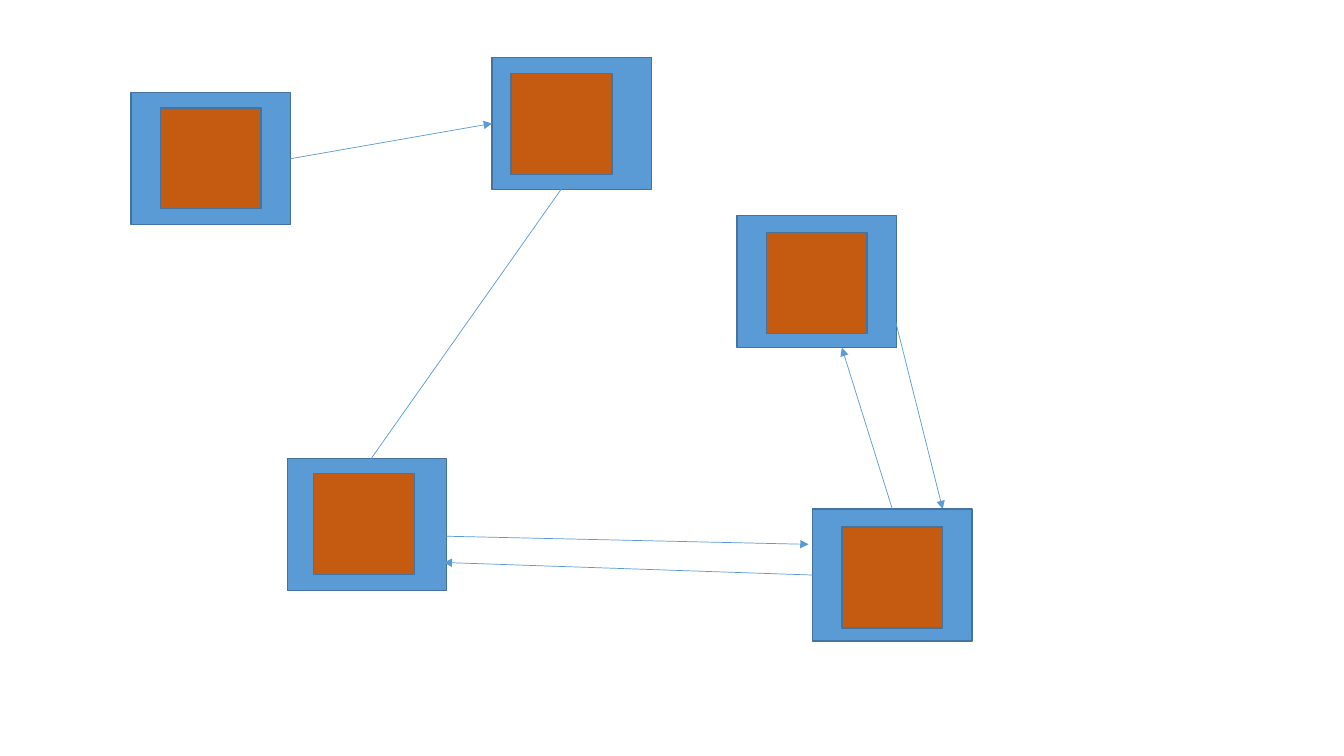
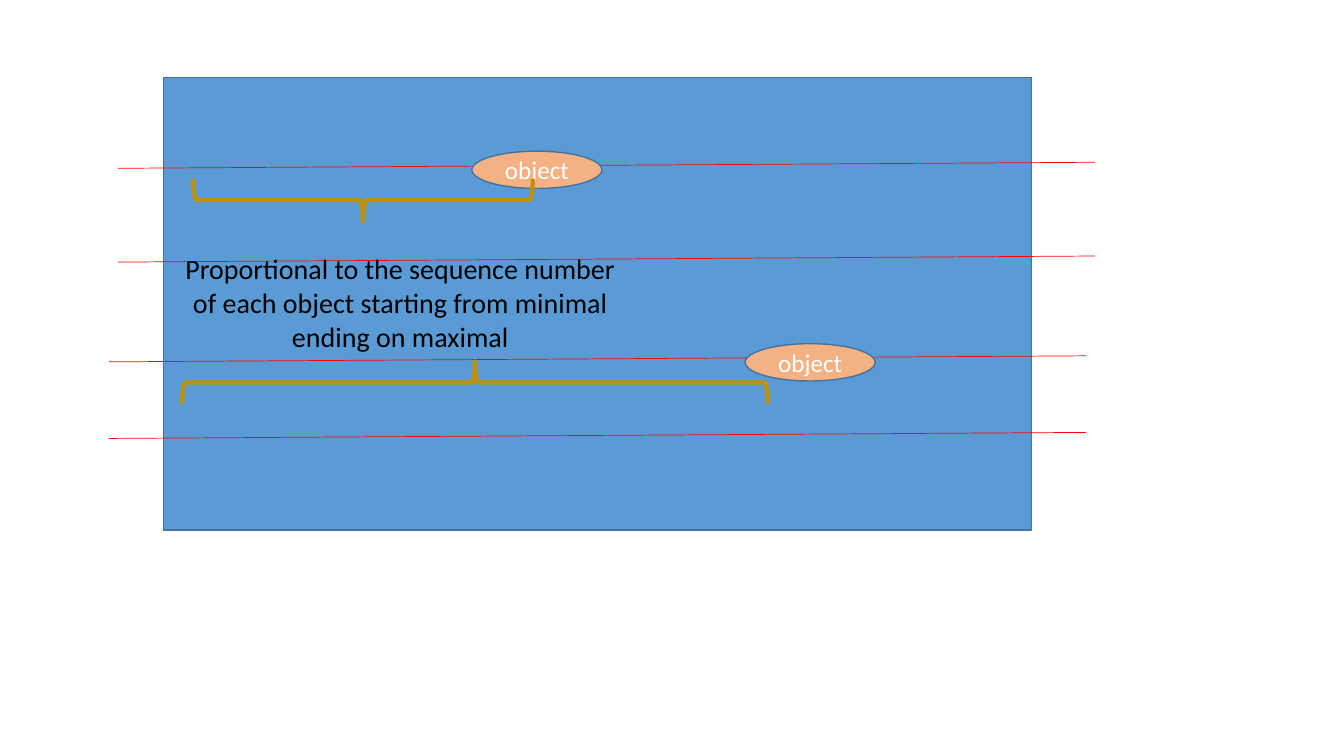
"""Build two diagram slides: linked nodes, and objects placed along scan lines."""
from dataclasses import dataclass
from typing import Optional

from lxml import etree
from pptx import Presentation
from pptx import util as u
from pptx.dml.color import RGBColor
from pptx.enum import shapes, text
from pptx.oxml.ns import qn

COLORS = {
    "panel": "5B9BD5", "edge": "43739E", "core": "C55A11", "scan": "FF0000",
    "object": "F4B183", "brace": "BF9000", "light": "FFFFFF", "dark": "000000",
}
FRAME_SIZE = (1.58, 1.31)
CORE_SIZE = (1, 1)
OBJECT_SIZE = (1.29, 0.37)
SCAN_RUN, SCAN_RISE = 9.69, 0.06
TOP, LEFT, RIGHT = 0, 1, 3
LABEL_FORMAT = {"name": "Calibri", "size": u.Pt(18)}
CAPTION_FORMAT = {"name": "Calibri", "size": u.Pt(20)}
RECT = shapes.MSO_SHAPE.RECTANGLE


@dataclass(frozen=True)
class Node:
    frame: tuple[float, float]
    core: tuple[float, float]


@dataclass(frozen=True)
class Link:
    start: tuple[float, float]
    end: tuple[float, float]
    source: Optional[tuple[str, int]] = None
    target: Optional[tuple[str, int]] = None


@dataclass(frozen=True)
class Brace:
    corner: tuple[float, float]
    size: tuple[float, float]
    rotation: int


NODES = {
    "first": Node((1.3, 0.92), (1.59, 1.07)),
    "lower": Node((2.85, 4.55), (3.11, 4.7)),
    "upper": Node((4.88, 0.57), (5.07, 0.73)),
    "right": Node((7.31, 2.14), (7.6, 2.31)),
}
LAST_NODE = Node((8.06, 5.05), (8.35, 5.23))
LINKS_BEHIND_CORES = [
    Link((2.88, 1.57), (4.88, 1.23), ("first", RIGHT), ("upper", LEFT)),
    Link((5.67, 1.73), (3.54, 4.75)),
    Link((4.43, 5.32), (8.02, 5.4)),
]
LINK_TO_LAST = Link((8.85, 3.06), (9.35, 5.05))
LINKS_FROM_LAST = [
    Link((8.85, 5.05), (8.35, 3.45), ("last", TOP)),
    Link((8.06, 5.7), (4.4, 5.58), ("last", LEFT)),
]
SCAN_STARTS = [(1.17, 1.67), (1.17, 2.6), (1.08, 3.59), (1.08, 4.35)]
OBJECT_CORNERS = [(4.68, 1.5), (7.39, 3.41)]
BRACES = [Brace((3.39, 0.3), (0.42, 3.37), 270), Brace((4.5, 0.89), (0.42, 5.81), 90)]
CAPTION = ("Proportional to the sequence number of each object "
           "starting from minimal ending on maximal")


def rgb(name: str) -> RGBColor:
    """Return the named colour."""
    return RGBColor.from_string(COLORS[name])


def set_line(line, color: str, width: float) -> None:
    """Give a line its colour and its width in points."""
    line.color.rgb = rgb(color)
    line.width = u.Pt(width)


def add_figure(slide, kind, corner: tuple, size: tuple, fill: Optional[str],
               edge: str = "edge", width: float = 1):
    """Add an outlined preset shape, unfilled when no fill is named."""
    figure = slide.shapes.add_shape(kind, *map(u.Inches, (*corner, *size)))
    figure.shadow.inherit = False
    if fill:
        figure.fill.solid()
        figure.fill.fore_color.rgb = rgb(fill)
    else:
        figure.fill.background()
    set_line(figure.line, edge, width)
    return figure


def add_line(slide, start: tuple, end: tuple, color: str):
    """Add a thin straight connector without a shadow."""
    line = slide.shapes.add_connector(
        shapes.MSO_CONNECTOR.STRAIGHT, *map(u.Inches, (*start, *end)))
    set_line(line.line, color, 0.5)
    etree.SubElement(line._element.spPr, qn("a:effectLst"))
    return line


def add_link(slide, link: Link, frames: dict) -> None:
    """Add an arrow and join it to the frames it meets."""
    arrow = add_line(slide, link.start, link.end, "panel")
    etree.SubElement(arrow.line._get_or_add_ln(), qn("a:tailEnd"), type="triangle")
    for join, site in ((arrow.begin_connect, link.source), (arrow.end_connect, link.target)):
        if site:
            join(frames[site[0]], site[1])


def add_frame(slide, node: Node):
    """Add the outer rectangle of a node."""
    return add_figure(slide, RECT, node.frame, FRAME_SIZE, "panel")


def add_core(slide, node: Node) -> None:
    """Add the inner square of a node."""
    add_figure(slide, RECT, node.core, CORE_SIZE, "core")


def write(frame, words: str, color: str, values: dict) -> None:
    """Write one centred, wrapped paragraph."""
    frame.word_wrap = True
    paragraph = frame.paragraphs[0]
    paragraph.alignment = text.PP_ALIGN.CENTER
    run = paragraph.add_run()
    run.text = words
    for name, value in values.items():
        setattr(run.font, name, value)
    run.font.color.rgb = rgb(color)


def add_object(slide, corner: tuple) -> None:
    """Add a labelled ellipse."""
    ellipse = add_figure(slide, shapes.MSO_SHAPE.OVAL, corner, OBJECT_SIZE, "object")
    ellipse.text_frame.vertical_anchor = text.MSO_ANCHOR.MIDDLE
    write(ellipse.text_frame, "object", "light", LABEL_FORMAT)


def add_brace(slide, brace: Brace) -> None:
    """Add a turned brace that marks a distance."""
    figure = add_figure(slide, shapes.MSO_SHAPE.LEFT_BRACE, brace.corner, brace.size,
                        None, "brace", 3)
    figure.rotation = brace.rotation


def build_nodes(slide) -> None:
    """Draw the linked nodes."""
    frames = {name: add_frame(slide, node) for name, node in NODES.items()}
    for link in LINKS_BEHIND_CORES:
        add_link(slide, link, frames)
    for node in NODES.values():
        add_core(slide, node)
    add_link(slide, LINK_TO_LAST, frames)
    frames["last"] = add_frame(slide, LAST_NODE)
    add_core(slide, LAST_NODE)
    for link in LINKS_FROM_LAST:
        add_link(slide, link, frames)


def build_scan(slide) -> None:
    """Draw the panel with its scan lines, objects and distances."""
    add_figure(slide, RECT, (1.62, 0.77), (8.61, 4.49), "panel")
    for x, y in SCAN_STARTS:
        add_line(slide, (x, y), (x + SCAN_RUN, y - SCAN_RISE), "scan")
    for corner in OBJECT_CORNERS:
        add_object(slide, corner)
    for brace in BRACES:
        add_brace(slide, brace)
    caption = slide.shapes.add_textbox(*map(u.Inches, (1.72, 2.45, 4.5, 1.11)))
    write(caption.text_frame, CAPTION, "dark", CAPTION_FORMAT)
    caption.text_frame.auto_size = text.MSO_AUTO_SIZE.SHAPE_TO_FIT_TEXT


def main() -> None:
    """Build and save the presentation."""
    deck = Presentation()
    deck.slide_width, deck.slide_height = u.Inches(13.33), u.Inches(7.5)
    for build in (build_nodes, build_scan):
        build(deck.slides.add_slide(deck.slide_layouts[6]))
    deck.save("out.pptx")


if __name__ == "__main__":
    main()
